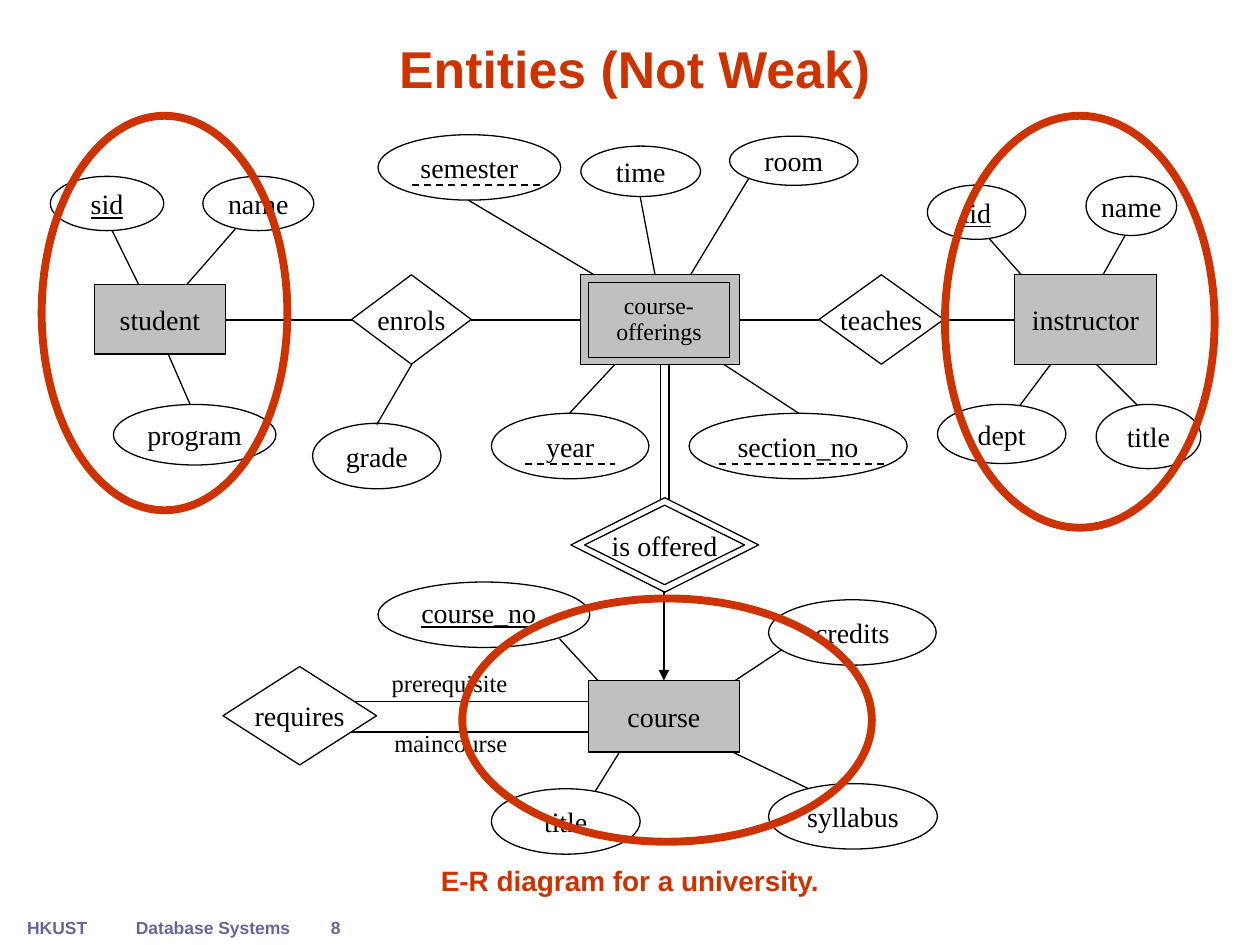
"""Build the university E-R diagram slide that highlights the strong entities."""
from dataclasses import dataclass, field
from typing import Any

from lxml.etree import SubElement
from pptx import Presentation
from pptx.dml.color import RGBColor
from pptx.enum.dml import MSO_LINE
from pptx.enum.shapes import MSO_CONNECTOR, MSO_SHAPE
from pptx.enum.text import MSO_ANCHOR, MSO_AUTO_SIZE, PP_ALIGN
from pptx.oxml.ns import qn
from pptx.util import Pt

BLACK, WHITE, GREY, RED, VIOLET = "000000", "FFFFFF", "C0C0C0", "CC3300", "666699"
SERIF, SANS = "Times New Roman", "Arial"


@dataclass
class Style:
    preset: MSO_SHAPE
    fill: str | None = WHITE
    line: str = BLACK
    weight: float = 0.75


@dataclass
class Node:
    style: Style
    box: tuple[float, float, float, float]
    text: str = ""
    font: dict[str, Any] = field(default_factory=dict)
    align: PP_ALIGN = PP_ALIGN.CENTER
    wrap: bool = False


@dataclass
class Label:
    text: str
    box: tuple[float, float, float, float]
    font: dict[str, Any]
    color: str
    align: PP_ALIGN = PP_ALIGN.CENTER
    anchor: MSO_ANCHOR = MSO_ANCHOR.TOP
    wrap: bool = True


@dataclass
class Link:
    start: tuple[float, float]
    end: tuple[float, float]
    weight: float = 0.75
    dashed: bool = False
    arrow: bool = False


ENTITY = Style(MSO_SHAPE.FLOWCHART_PROCESS, GREY)
WEAK_ENTITY = Style(MSO_SHAPE.RECTANGLE, GREY)
ATTRIBUTE = Style(MSO_SHAPE.OVAL)
OPEN_ATTRIBUTE = Style(MSO_SHAPE.OVAL, None)
RELATIONSHIP = Style(MSO_SHAPE.FLOWCHART_DECISION)
OUTER_DIAMOND = Style(MSO_SHAPE.DIAMOND)
RING = Style(MSO_SHAPE.OVAL, None, RED, 4.5)

KEY = {"underline": True}
ROLE_FONT = {"name": SERIF, "size": Pt(14)}
FOOTER_FONT = {"name": SANS, "size": Pt(10), "bold": True}
CAPTION_FONT = {"name": SANS, "size": Pt(16), "bold": True}
TITLE_FONT = {"name": SANS, "size": Pt(29.6), "bold": True}

AXIS_Y = 182.9
LINKS = [
    Link((558, 128.2), (603.4, 179.3)),
    Link((649.4, 123.1), (620.6, 174.2)),
    Link((568.1, 251.3), (609.1, 196.6)),
    Link((671.8, 253.4), (614.9, 196.6)),
    Link((452.9, 367.2), (416.9, 391)),
    Link((466.6, 452.9), (405.4, 423.4)),
    Link((319.7, 365), (379.4, 429.8)),
    Link((379.4, 388.8), (331.2, 466.6)),
    Link((325.4, 236.2), (373, 185)),
    Link((456.5, 236.2), (378, 185)),
    Link((427.7, 102.2), (379.4, 182.2)),
    Link((365.8, 112.3), (378.7, 180)),
    Link((267.8, 114.5), (375.8, 178.6)),
    Link((235.4, 208.1), (215.3, 242.6)),
    Link((59.8, 123.1), (87.8, 180)),
    Link((136.8, 128.2), (97.2, 173.5)),
    Link((93.6, 196.6), (115.9, 247.7)),
    Link((379.4, 338.4), (379.4, 388.8), arrow=True),
    *(Link((342, y), (200.2, y)) for y in (401, 418.3)),
    *(Link((x, 293), (x, 202.3)) for x in (377.3, 382.3)),
    *(Link((left, AXIS_Y), (right, AXIS_Y)) for left, right in
      ((128.2, 200.9), (269.3, 331.9), (422.6, 468), (539.3, 579.6))),
]
PARTIAL_KEYS = [
    Link((left, y), (right, y), 1, dashed=True) for left, right, y in
    ((411.1, 507.6, 265), (235.4, 308.9, 105.8), (300.2, 351.4, 265))
]
NODES = [
    Node(ATTRIBUTE, (626.4, 231.1, 59.8, 36.7), "title"),
    Node(ATTRIBUTE, (535.7, 231.1, 73.4, 33.8), "dept"),
    Node(ATTRIBUTE, (620.6, 100.8, 51.8, 33.8), "name"),
    Node(ATTRIBUTE, (529.9, 105.8, 56.2, 31), "iid", KEY),
    Node(OPEN_ATTRIBUTE, (216, 332.6, 121, 37.4), "course_no", KEY, PP_ALIGN.LEFT, True),
    Node(RELATIONSHIP, (127.4, 380.9, 87.8, 56.2), "requires"),
    Node(ENTITY, (336.2, 388.8, 86.4, 41), "course"),
    Node(ATTRIBUTE, (439.2, 447.8, 96.5, 37.4), "syllabus"),
    Node(ATTRIBUTE, (439.2, 342.7, 95.8, 37.4), "credits"),
    Node(OPEN_ATTRIBUTE, (331.9, 83.5, 68.4, 28.8), "time"),
    Node(OPEN_ATTRIBUTE, (416.9, 77.8, 73.4, 28.1), "room"),
    Node(ATTRIBUTE, (393.8, 236.2, 124.6, 37.4), "section_no"),
    Node(OPEN_ATTRIBUTE, (216, 77, 104.4, 37.4), "semester"),
    Node(OPEN_ATTRIBUTE, (280.8, 236.2, 90, 37.4), "year"),
    Node(WEAK_ENTITY, (331.9, 157, 90.7, 51.1)),
    Node(WEAK_ENTITY, (336.2, 161.3, 80.6, 43.2), "course- offerings",
         {"size": Pt(13.6)}, wrap=True),
    Node(OUTER_DIAMOND, (326.2, 284.4, 107.3, 54)),
    Node(RELATIONSHIP, (334.1, 288.7, 91.4, 45.4), "is offered"),
    Node(RELATIONSHIP, (200.9, 157, 68.4, 51.1), "enrols"),
    Node(OPEN_ATTRIBUTE, (178.6, 241.9, 73.4, 37.4), "grade"),
    Node(ATTRIBUTE, (115.9, 100.8, 63.4, 31), "name"),
    Node(ATTRIBUTE, (28.8, 100.8, 64.8, 31), "sid", KEY),
    Node(ATTRIBUTE, (64.8, 231.1, 92.9, 34.6), "program"),
    Node(ENTITY, (54, 162.7, 74.9, 39.6), "student"),
    Node(ENTITY, (579.6, 157, 81.4, 51.1), "instructor"),
    Node(RELATIONSHIP, (468, 157, 71.3, 51.1), "teaches"),
    Node(ATTRIBUTE, (280.8, 450.7, 85, 37.4), "title"),
]
RINGS = [
    Node(RING, (23.8, 66.2, 140.4, 225.4)),
    Node(RING, (264.2, 342, 234, 139)),
    Node(RING, (540, 66.2, 154.1, 235.4)),
]
LABELS = [
    Label("HKUST", (8.6, 520.6, 48.2, 19.4), FOOTER_FONT, VIOLET, wrap=False),
    Label("Database Systems", (70.6, 520.6, 102.2, 19.4), FOOTER_FONT, VIOLET, wrap=False),
    Label("8", (160.6, 520.6, 62.6, 19.4), FOOTER_FONT, VIOLET, wrap=False),
    Label("E-R diagram for a university.", (54, 479.5, 612, 36.7), CAPTION_FONT, RED,
          anchor=MSO_ANCHOR.BOTTOM),
    Label("prerequisite", (216.7, 378, 103, 24.5), ROLE_FONT, BLACK, PP_ALIGN.LEFT),
    Label("maincourse", (218.2, 412.6, 102.2, 24.5), ROLE_FONT, BLACK, PP_ALIGN.LEFT),
]
TITLE = Label("Entities (Not Weak)", (23.8, 15.8, 678.2, 44.6), TITLE_FONT, RED,
              anchor=MSO_ANCHOR.BOTTOM)


def rgb(value: str) -> RGBColor:
    """Turn a hex string into a colour."""
    return RGBColor.from_string(value)


def apply_formats(target: Any, formats: dict[str, Any]) -> None:
    """Set every named format value on the target."""
    for name, value in formats.items():
        setattr(target, name, value)


def write_text(shape: Any, text: str, font: dict[str, Any], color: str,
               align: PP_ALIGN, anchor: MSO_ANCHOR, wrap: bool) -> None:
    """Put one formatted paragraph into a shape."""
    frame = shape.text_frame
    apply_formats(frame, {"text": text, "word_wrap": wrap, "vertical_anchor": anchor,
                          "auto_size": MSO_AUTO_SIZE.NONE})
    paragraph = frame.paragraphs[0]
    paragraph.alignment = align
    apply_formats(paragraph.runs[0].font, font)
    paragraph.runs[0].font.color.rgb = rgb(color)


def draw_link(slide: Any, link: Link) -> None:
    """Draw a straight line, optionally dashed or with an arrowhead."""
    ends = [Pt(length) for length in (*link.start, *link.end)]
    connector = slide.shapes.add_connector(MSO_CONNECTOR.STRAIGHT, *ends)
    connector.line.width = Pt(link.weight)
    connector.line.color.rgb = rgb(BLACK)
    if link.dashed:
        connector.line.dash_style = MSO_LINE.DASH
    properties = connector.element.spPr
    if link.arrow:
        SubElement(properties.find(qn("a:ln")), qn("a:tailEnd"), type="triangle")
    SubElement(properties, qn("a:effectLst"))


def draw_node(slide: Any, node: Node) -> None:
    """Draw an entity, attribute, relationship or ring."""
    shape = slide.shapes.add_shape(node.style.preset, *map(Pt, node.box))
    shape.shadow.inherit = False
    if node.style.fill:
        shape.fill.solid()
        shape.fill.fore_color.rgb = rgb(node.style.fill)
    else:
        shape.fill.background()
    shape.line.color.rgb = rgb(node.style.line)
    shape.line.width = Pt(node.style.weight)
    if node.text:
        font = {"name": SERIF, "size": Pt(16), **node.font}
        write_text(shape, node.text, font, BLACK, node.align, MSO_ANCHOR.MIDDLE, node.wrap)
        if node.wrap:
            shape.text_frame.paragraphs[0].line_spacing = 0.9


def fill_label(shape: Any, label: Label) -> None:
    """Write a label's text into its box."""
    write_text(shape, label.text, label.font, label.color, label.align, label.anchor,
               label.wrap)


def main() -> None:
    """Assemble and save the slide."""
    deck = Presentation()
    apply_formats(deck, {"slide_width": Pt(720), "slide_height": Pt(540)})
    slide = deck.slides.add_slide(deck.slide_layouts[5])
    title = slide.shapes.title
    apply_formats(title, dict(zip(("left", "top", "width", "height"), map(Pt, TITLE.box))))
    fill_label(title, TITLE)
    title.text_frame.paragraphs[0].line_spacing = 0.9
    for link in LINKS:
        draw_link(slide, link)
    for label in LABELS:
        fill_label(slide.shapes.add_textbox(*map(Pt, label.box)), label)
    for node in NODES:
        draw_node(slide, node)
    for underline in PARTIAL_KEYS:
        draw_link(slide, underline)
    for ring in RINGS:
        draw_node(slide, ring)
    deck.save("out.pptx")


if __name__ == "__main__":
    main()
